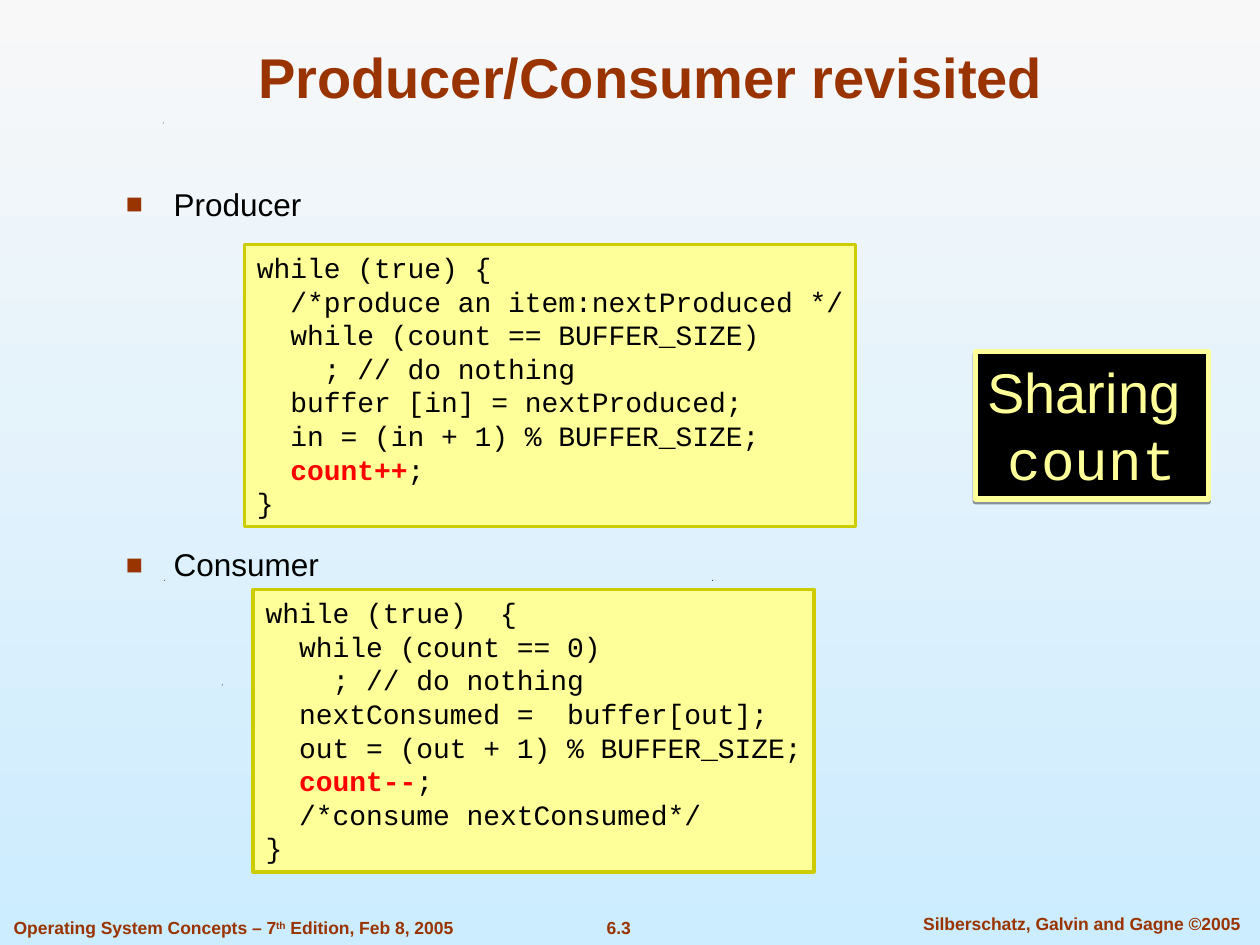
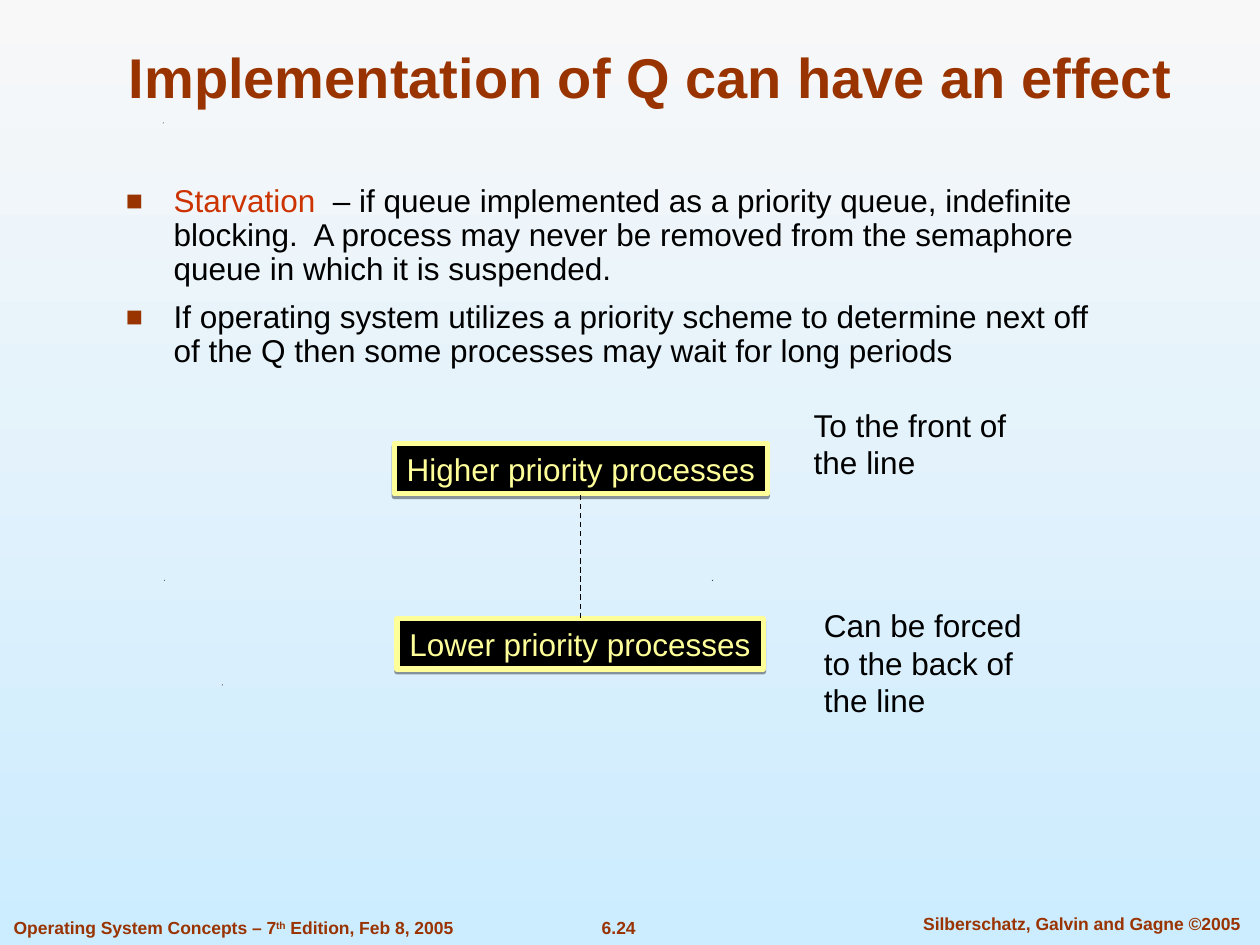
from lxml import etree
from pptx import Presentation
from pptx.dml.color import RGBColor
from pptx.enum.dml import MSO_LINE
from pptx.enum.shapes import MSO_CONNECTOR, MSO_SHAPE
from pptx.enum.text import MSO_ANCHOR, PP_ALIGN
from pptx.oxml import parse_xml
from pptx.oxml.ns import nsdecls, qn
from pptx.util import Inches, Pt

BROWN = RGBColor(0x99, 0x33, 0x00)
RUST = RGBColor(0xCC, 0x33, 0x00)
RED = RGBColor(0xFF, 0x00, 0x00)
BLACK = RGBColor(0x00, 0x00, 0x00)
YELLOW = RGBColor(0xFF, 0xFF, 0x99)
OLIVE = RGBColor(0xCC, 0xCC, 0x00)
SKY = (RGBColor(0xF8, 0xF8, 0xF8), RGBColor(0xCC, 0xEC, 0xFF))
SANS, MONO = "Arial", "Courier New"

BOOK = [("Operating System Concepts – 7", {}), ("th", {"raised": True}),
        (" Edition, Feb 8, 2005", {})]
AUTHORS = "Silberschatz, Galvin and Gagne ©2005"
SPECKS = [(1.76, 5.43), (1.3, 4.6), (5.65, 4.6), (1.29, 0.97)]

PRODUCER = """while (true) {
  /*produce an item:nextProduced */
  while (count == BUFFER_SIZE)
    ; // do nothing
  buffer [in] = nextProduced;
  in = (in + 1) % BUFFER_SIZE;
  count++;
}"""
CONSUMER = """while (true)  {
  while (count == 0)
    ; // do nothing
  nextConsumed =  buffer[out];
  out = (out + 1) % BUFFER_SIZE;
  count--;
  /*consume nextConsumed*/
}"""
SHARED_UPDATES = ("count++", "count--")

SLIDES = [
    {
        "title": "Producer/Consumer revisited",
        "number": "6.3",
        "bullets": [((0.9, 1.42, 8.04, 0.4), ["Producer"]),
                    ((0.9, 4.28, 8.04, 0.4), ["Consumer"])],
        "code": [((1.94, 1.94, 4.85, 2.24), PRODUCER),
                 ((2.01, 4.68, 4.45, 2.24), CONSUMER)],
        "signs": [((7.74, 2.79, 1.85, 1.17), 32, PP_ALIGN.CENTER,
                   ["Sharing ", [("count", {"font": MONO})]])],
    },
    {
        "title": "Implementation of Q can have an effect",
        "number": "6.24",
        "bullets": [((0.9, 1.42, 8.04, 1.85), [
            [("Starvation", {"color": RUST}),
             ("  – if queue implemented as a priority queue, indefinite blocking.  "
              "A process may never be removed from the semaphore queue in which "
              "it is suspended.", {})],
            "If operating system utilizes a priority scheme to determine next off "
            "of the Q then some processes may wait for long periods"])],
        "signs": [((3.13, 3.52, 2.96, 0.4), 18, PP_ALIGN.LEFT,
                   ["Higher priority processes"]),
                  ((3.15, 4.91, 2.91, 0.4), 18, PP_ALIGN.LEFT,
                   ["Lower priority processes"])],
        "notes": [((6.36, 3.17, 1.98, 0.7), "To the front of the line"),
                  ((6.44, 4.76, 1.81, 1), "Can be forced to the back of the line")],
        "links": [(4.61, 3.93, 4.61, 4.91)],
    },
]


def inches(values):
    return [Inches(v) for v in values]


def write(tf, paragraphs, size, color=BLACK, font=SANS, bold=False,
          align=PP_ALIGN.LEFT, wrap=True):
    tf.word_wrap = wrap
    tf.vertical_anchor = MSO_ANCHOR.TOP
    for i, runs in enumerate(paragraphs):
        p = tf.add_paragraph() if i else tf.paragraphs[0]
        p.alignment = align
        for text, style in [(runs, {})] if isinstance(runs, str) else runs:
            r = p.add_run()
            r.text = text
            r.font.size = Pt(size)
            r.font.name = style.get("font", font)
            r.font.bold = style.get("bold", bold)
            r.font.color.rgb = style.get("color", color)
            if style.get("raised"):
                r.font._element.set("baseline", "30000")


def add_text(s, box, paragraphs, size, **style):
    sp = s.shapes.add_textbox(*inches(box))
    write(sp.text_frame, paragraphs, size, **style)
    return sp


def add_box(s, box, fill, line, width):
    sp = s.shapes.add_shape(MSO_SHAPE.RECTANGLE, *inches(box))
    sp.shadow.inherit = False
    sp.fill.solid()
    sp.fill.fore_color.rgb = fill
    sp.line.color.rgb = line
    sp.line.width = Pt(width)
    return sp


def add_bullets(s, box, items):
    sp = add_text(s, box, items, 18)
    for i, p in enumerate(sp.text_frame.paragraphs):
        if len(items) > 1:
            p.line_spacing = 0.9
        if i:
            p.space_before = Pt(7.9)
        pPr = p._p.get_or_add_pPr()
        pPr.set("marL", str(Inches(0.38)))
        pPr.set("indent", str(-Inches(0.38)))
        color = etree.SubElement(pPr, qn("a:buClr"))
        etree.SubElement(color, qn("a:srgbClr"), val=str(BROWN))
        etree.SubElement(pPr, qn("a:buSzPct"), val="90000")
        etree.SubElement(pPr, qn("a:buFont"), typeface=SANS)
        etree.SubElement(pPr, qn("a:buChar"), char="■")


def code_runs(line):
    for update in SHARED_UPDATES:
        if update in line:
            before, after = line.split(update)
            return [(before, {}), (update, {"color": RED, "bold": True}), (after, {})]
    return line


def add_code(s, box, code):
    sp = add_box(s, box, YELLOW, OLIVE, 2)
    write(sp.text_frame, [code_runs(line) for line in code.splitlines()], 16,
          font=MONO, wrap=False)


def add_sign(s, box, size, align, lines):
    sp = add_box(s, box, BLACK, YELLOW, 3)
    sp._element.spPr.find(qn("a:effectLst")).append(parse_xml(
        f'<a:outerShdw {nsdecls("a")} blurRad="0" dist="{Pt(1.6)}" dir="5400000" '
        'rotWithShape="0"><a:srgbClr val="000000"><a:alpha val="38000"/>'
        '</a:srgbClr></a:outerShdw>'))
    write(sp.text_frame, lines, size, color=YELLOW, align=align, wrap=False)


def add_link(s, ends):
    line = s.shapes.add_connector(MSO_CONNECTOR.STRAIGHT, *inches(ends))
    line.line.color.rgb = BLACK
    line.line.width = Pt(0.75)
    line.line.dash_style = MSO_LINE.DASH
    etree.SubElement(line._element.spPr, qn("a:effectLst"))


def add_speck(s, x, y):
    left, top, step = inches((x, y, 0.01))
    outline = s.shapes.build_freeform(left, top + step)
    outline.add_line_segments([(left + step, top), (left + step // 2, top + step)])
    sp = outline.convert_to_shape()
    sp.shadow.inherit = False
    sp.fill.solid()
    sp.fill.fore_color.rgb = BLACK
    sp.line.fill.background()


def add_frame(s, title, number):
    for x, y in SPECKS:
        add_speck(s, x, y)
    footer = {"size": 10, "color": BROWN, "bold": True}
    add_text(s, (4.42, 7.23, 0.98, 0.27), [number], align=PP_ALIGN.CENTER, **footer)
    add_text(s, (7.1, 7.2, 2.97, 0.27), [AUTHORS], align=PP_ALIGN.CENTER,
             wrap=False, **footer)
    add_text(s, (0.01, 7.23, 3.69, 0.27), [BOOK], wrap=False, **footer)
    sp = s.shapes.title
    sp.left, sp.top, sp.width, sp.height = inches((0.75, 0.25, 8.83, 0.67))
    write(sp.text_frame, [title], 32, color=BROWN, bold=True, align=PP_ALIGN.CENTER)
    sp.text_frame.vertical_anchor = MSO_ANCHOR.BOTTOM


def paint_background(master):
    fill = master.background.fill
    fill.gradient()
    fill.gradient_angle = 270
    for stop, color, position in zip(fill.gradient_stops, SKY, (0, 1)):
        stop.color.rgb = color
        stop.position = position


def main():
    prs = Presentation()
    prs.slide_width, prs.slide_height = inches((10, 7.5))
    paint_background(prs.slide_master)
    for content in SLIDES:
        s = prs.slides.add_slide(prs.slide_layouts[5])
        add_frame(s, content["title"], content["number"])
        for box, items in content["bullets"]:
            add_bullets(s, box, items)
        for box, code in content.get("code", []):
            add_code(s, box, code)
        for sign in content["signs"]:
            add_sign(s, *sign)
        for box, note in content.get("notes", []):
            add_text(s, box, [note], 18)
        for ends in content.get("links", []):
            add_link(s, ends)
    prs.save("out.pptx")


if __name__ == "__main__":
    main()
